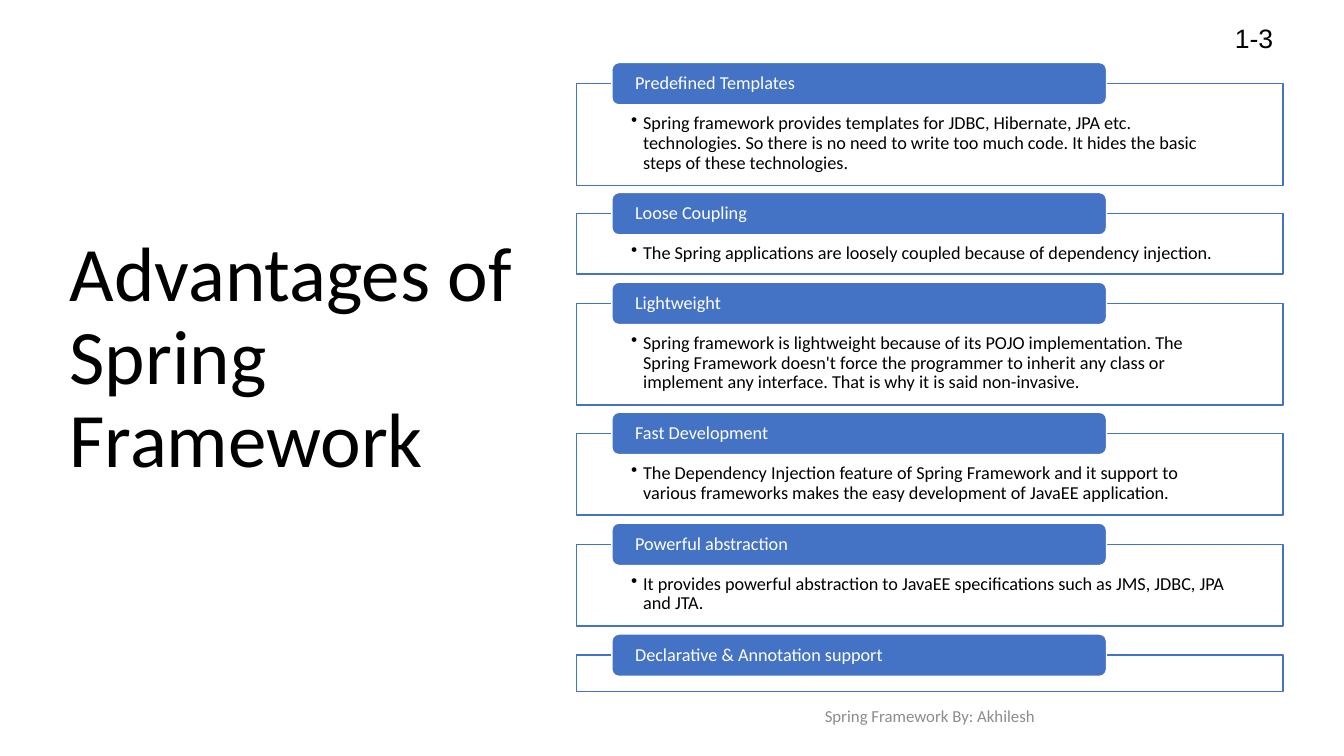
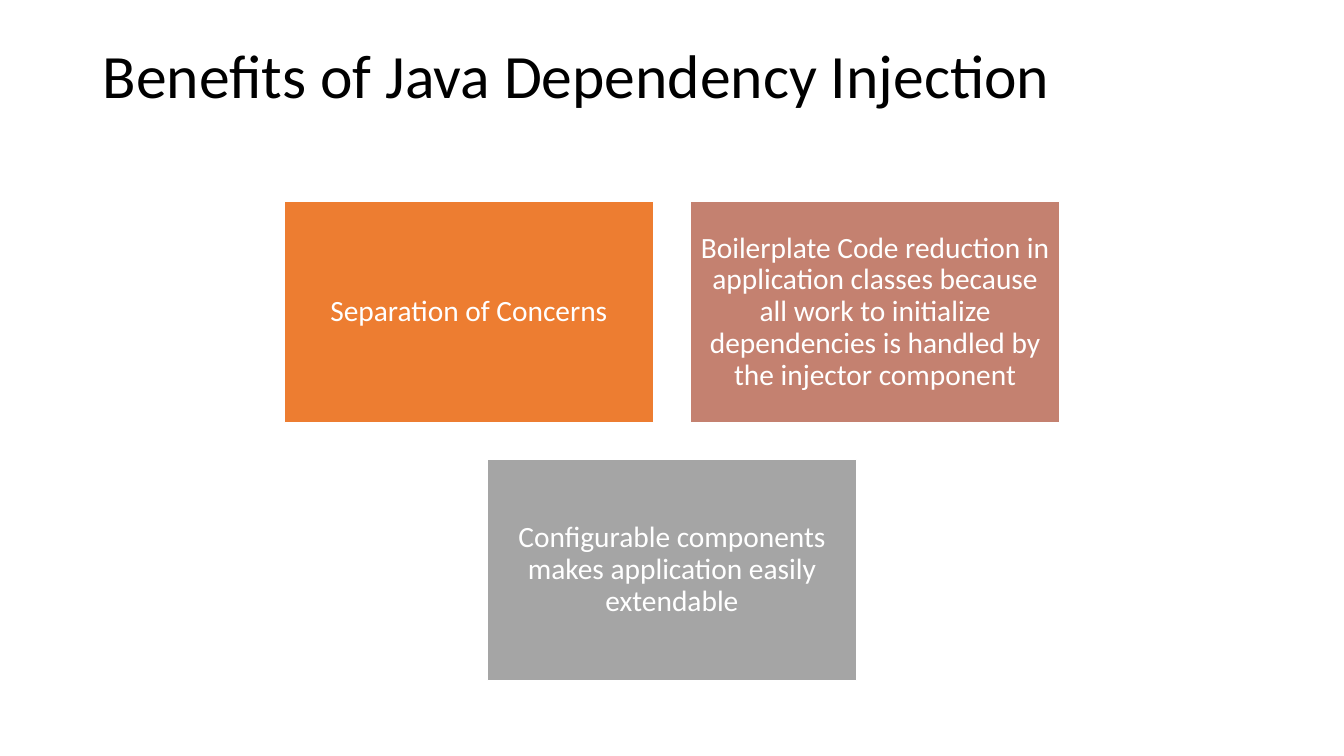
from dataclasses import dataclass

from lxml.etree import SubElement
from pptx import Presentation
from pptx.dml.color import RGBColor as Rgb
from pptx.enum.shapes import MSO_SHAPE as Preset
from pptx.enum.text import MSO_ANCHOR as Anchor, MSO_AUTO_SIZE as AutoSize, PP_ALIGN as Align
from pptx.oxml.ns import qn
from pptx.shapes.autoshape import Shape
from pptx.slide import Slide
from pptx.text.text import TextFrame
from pptx.util import Inches, Pt

SLIDE_W, SLIDE_H = 13.333, 7.5
TITLE_ONLY = 5


@dataclass(frozen=True)
class Theme:
    font: str = "Calibri"
    number_font: str = "Arial"
    black: str = "000000"
    white: str = "FFFFFF"
    blue: str = "4472C4"
    orange: str = "ED7D31"
    clay: str = "C48170"
    silver: str = "A5A5A5"
    footer_gray: str = "8C8C8C"
    big_title: float = 55
    title: float = 44
    tile: float = 21
    number: float = 19
    body: float = 13
    footer: float = 12
    line_spacing: float = 0.9


THEME = Theme()


@dataclass(frozen=True)
class Box:
    left: float
    top: float
    width: float
    height: float

    def emu(self) -> tuple[int, ...]:
        return tuple(Inches(v) for v in (self.left, self.top, self.width, self.height))


@dataclass(frozen=True)
class TextStyle:
    size: float
    color: str = THEME.white
    font: str = THEME.font
    align: Align = Align.LEFT
    anchor: Anchor = Anchor.MIDDLE
    insets: tuple[float, float, float, float] = (0.1, 0.05, 0.1, 0.05)
    bullet_indent: float = 0


@dataclass(frozen=True)
class Advantage:
    heading: str
    detail: str
    frame_height: float


@dataclass(frozen=True)
class Benefit:
    text: str
    color: str
    column: float
    row: int


ADVANTAGES = [
    Advantage("Predefined Templates",
              "Spring framework provides templates for JDBC, Hibernate, JPA etc. technologies. "
              "So there is no need to write too much code. It hides the basic steps of these "
              "technologies.", 1.01),
    Advantage("Loose Coupling",
              "The Spring applications are loosely coupled because of dependency injection.", 0.6),
    Advantage("Lightweight",
              "Spring framework is lightweight because of its POJO implementation. The Spring "
              "Framework doesn't force the programmer to inherit any class or implement any "
              "interface. That is why it is said non-invasive.", 1.01),
    Advantage("Fast Development",
              "The Dependency Injection feature of Spring Framework and it support to various "
              "frameworks makes the easy development of JavaEE application.", 0.81),
    Advantage("Powerful abstraction",
              "It provides powerful abstraction to JavaEE specifications such as JMS, JDBC, JPA "
              "and JTA.", 0.81),
    Advantage("Declarative & Annotation support", "", 0.36),
]

BENEFITS = [
    Benefit("Separation of Concerns", THEME.orange, 0, 0),
    Benefit("Boilerplate Code reduction in application classes because all work to initialize "
            "dependencies is handled by the injector component", THEME.clay, 1, 0),
    Benefit("Configurable components makes application easily extendable", THEME.silver, 0.5, 1),
]

LIST_LEFT, LIST_TOP, LIST_W = 5.72, 0.83, 7.01
FRAME_GAP = 0.28
TAB_INDENT, TAB_H = 0.05 * LIST_W, 0.42
TAB_W = 0.7 * LIST_W

TILE_W, TILE_H, TILE_GAP = 3.66, 2.19, 0.37
TILES_LEFT, TILES_TOP = (SLIDE_W - 2 * TILE_W - TILE_GAP) / 2, 2.0

HEADING = TextStyle(THEME.body, insets=(0.21, 0, 0.21, 0))
DETAIL = TextStyle(THEME.body, THEME.black, anchor=Anchor.TOP,
                   insets=(0.54, 0.3, 0.54, 0.1), bullet_indent=0.12)
TILE = TextStyle(THEME.tile, align=Align.CENTER, insets=(0.09, 0.09, 0.09, 0.09))
FOOTER = TextStyle(THEME.footer, THEME.footer_gray, align=Align.CENTER)
NUMBER = TextStyle(THEME.number, THEME.black, THEME.number_font, Align.RIGHT)
TOP_TITLE = TextStyle(THEME.title, THEME.black, anchor=Anchor.TOP)
SIDE_TITLE = TextStyle(THEME.big_title, THEME.black, insets=(0.1, 0.05, 0.1, 0.39))


def write(frame: TextFrame, text: str, style: TextStyle) -> None:
    frame.word_wrap = True
    frame.auto_size = AutoSize.NONE
    frame.vertical_anchor = style.anchor
    (frame.margin_left, frame.margin_top,
     frame.margin_right, frame.margin_bottom) = map(Inches, style.insets)
    paragraph = frame.paragraphs[0]
    paragraph.alignment = style.align
    paragraph.line_spacing = THEME.line_spacing
    if style.bullet_indent:
        props = paragraph._p.get_or_add_pPr()
        props.set("marL", str(Inches(style.bullet_indent)))
        props.set("indent", str(-Inches(style.bullet_indent)))
        SubElement(props, qn("a:buChar")).set("char", "•")
    run = paragraph.add_run()
    run.text = text
    run.font.name = style.font
    run.font.size = Pt(style.size)
    run.font.color.rgb = Rgb.from_string(style.color)


def add_panel(slide: Slide, preset: Preset, box: Box, fill: str, line: str) -> Shape:
    panel = slide.shapes.add_shape(preset, *box.emu())
    panel.shadow.inherit = False
    panel.fill.solid()
    panel.fill.fore_color.rgb = Rgb.from_string(fill)
    panel.line.color.rgb = Rgb.from_string(line)
    panel.line.width = Pt(1)
    return panel


def add_label(slide: Slide, box: Box, text: str, style: TextStyle) -> None:
    write(slide.shapes.add_textbox(*box.emu()).text_frame, text, style)


def add_titled_slide(deck: Presentation, title: str, box: Box, style: TextStyle) -> Slide:
    slide = deck.slides.add_slide(deck.slide_layouts[TITLE_ONLY])
    heading = slide.shapes.title
    heading.left, heading.top, heading.width, heading.height = box.emu()
    write(heading.text_frame, title, style)
    return slide


def add_advantage(slide: Slide, item: Advantage, top: float) -> None:
    """Draw an outlined frame with its heading tab straddling the top edge."""
    frame = add_panel(slide, Preset.RECTANGLE,
                      Box(LIST_LEFT, top, LIST_W, item.frame_height), THEME.white, THEME.blue)
    if item.detail:
        write(frame.text_frame, item.detail, DETAIL)
    tab = add_panel(slide, Preset.ROUNDED_RECTANGLE,
                    Box(LIST_LEFT + TAB_INDENT, top - TAB_H / 2, TAB_W, TAB_H),
                    THEME.blue, THEME.white)
    write(tab.text_frame, item.heading, HEADING)


def build_advantages(deck: Presentation) -> None:
    slide = add_titled_slide(deck, "Advantages of Spring Framework",
                             Box(0.59, 0.59, 4.92, 6.3), SIDE_TITLE)
    top = LIST_TOP
    for item in ADVANTAGES:
        add_advantage(slide, item, top)
        top += item.frame_height + FRAME_GAP + 0.01 * (item.frame_height < 1)
    add_label(slide, Box(LIST_LEFT, 6.91, LIST_W, 0.4), "Spring Framework By: Akhilesh", FOOTER)
    add_label(slide, Box(11.9, 0.2, 0.83, 0.4), "1-3", NUMBER)


def build_benefits(deck: Presentation) -> None:
    slide = add_titled_slide(deck, "Benefits of Java Dependency Injection",
                             Box(0.92, 0.4, 11.5, 1.45), TOP_TITLE)
    for benefit in BENEFITS:
        box = Box(TILES_LEFT + benefit.column * (TILE_W + TILE_GAP),
                  TILES_TOP + benefit.row * (TILE_H + TILE_GAP), TILE_W, TILE_H)
        tile = add_panel(slide, Preset.RECTANGLE, box, benefit.color, THEME.white)
        write(tile.text_frame, benefit.text, TILE)


def main() -> None:
    deck = Presentation()
    deck.slide_width, deck.slide_height = Inches(SLIDE_W), Inches(SLIDE_H)
    build_advantages(deck)
    build_benefits(deck)
    deck.save("out.pptx")


if __name__ == "__main__":
    main()
